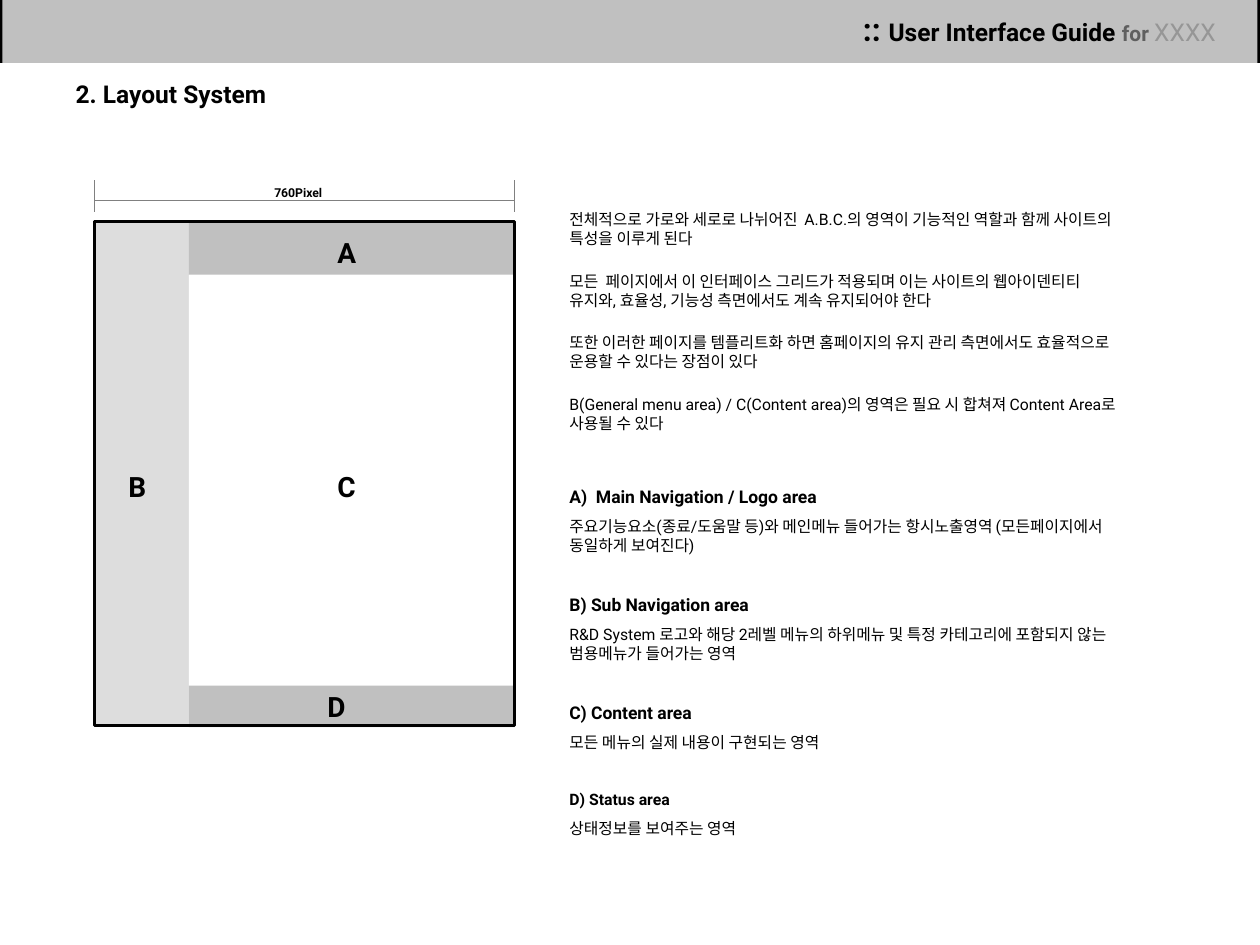
from lxml.etree import SubElement
from pptx import Presentation
from pptx.dml.color import RGBColor
from pptx.enum.shapes import MSO_CONNECTOR, MSO_SHAPE
from pptx.enum.text import MSO_ANCHOR, MSO_AUTO_SIZE, PP_ALIGN
from pptx.oxml.ns import qn
from pptx.util import Cm, Pt


class Theme:
    font = "Roboto"
    black, white = "000000", "FFFFFF"
    band, sidebar, rule = "C0C0C0", "DDDDDD", "808080"
    muted, faint = "5F5F5F", "969696"
    mark, title, label, small = 18, 14, 16, 7
    preposition, heading, body = 12, 10, 9


# Content; all lengths are in centimetres
TITLE = "2. Layout System"
BRAND = [  # text, size, colour, bold
    (":: ", Theme.mark, Theme.black, True),
    ("User Interface Guide ", Theme.title, Theme.black, True),
    ("for ", Theme.preposition, Theme.muted, True),
    ("XXXX", Theme.title, Theme.faint, False),
]
INTRO = [
    "전체적으로 가로와 세로로 나뉘어진  A.B.C.의 영역이 기능적인 역할과 함께 사이트의 특성을 이루게 된다",
    "모든  페이지에서 이 인터페이스 그리드가 적용되며 이는 사이트의 웹아이덴티티 유지와, 효율성, 기능성 측면에서도 계속 유지되어야 한다",
    "또한 이러한 페이지를 템플리트화 하면 홈페이지의 유지 관리 측면에서도 효율적으로 운용할 수 있다는 장점이 있다",
    "B(General menu area) / C(Content area)의 영역은 필요 시 합쳐져 Content Area로 사용될 수 있다",
]
AREAS = [  # heading, size, space before, description
    ("A)  Main Navigation / Logo area", Theme.heading, 30.4,
     "주요기능요소(종료/도움말 등)와 메인메뉴 들어가는 항시노출영역 (모든페이지에서 동일하게 보여진다)"),
    ("B) Sub Navigation area", Theme.heading, 22.4,
     "R&D System 로고와 해당 2레벨 메뉴의 하위메뉴 및 특정 카테고리에 포함되지 않는 범용메뉴가 들어가는 영역"),
    ("C) Content area", Theme.heading, 22.4, "모든 메뉴의 실제 내용이 구현되는 영역"),
    ("D) Status area", Theme.body, 21.8, "상태정보를 보여주는 영역"),
]
INTRO_GAP, DESCRIPTION_GAP = 13.5, 5.6

# Wireframe grid
LEFT, SPLIT, RIGHT = 1.9, 3.81, 10.37
TOP, NAV_END, STATUS_TOP, BOTTOM = 4.47, 5.54, 13.82, 14.63
REGIONS = [  # left, top, right, bottom, fill
    (LEFT, TOP, SPLIT, BOTTOM, Theme.sidebar),
    (SPLIT, NAV_END, 8.46, BOTTOM, Theme.white),
    (SPLIT, STATUS_TOP, RIGHT, 14.66, Theme.band),
    (SPLIT, TOP, RIGHT, NAV_END, Theme.band),
]
LABELS = [("A", 6.55, 4.62), ("B", 2.34, 9.35), ("C", 6.55, 9.35), ("D", 6.35, 13.77)]
DIMENSION_Y, TICK_TOP, TICK_BOTTOM = 4.04, 3.63, 4.27
SLIDE_WIDTH, SLIDE_HEIGHT, HEADER_HEIGHT, EDGE = 25.4, 19.05, 1.27, 0.05

deck = Presentation()
deck.slide_width, deck.slide_height = Cm(SLIDE_WIDTH), Cm(SLIDE_HEIGHT)
page = deck.slides.add_slide(deck.slide_layouts[5])


def style(font, size, color=Theme.black, bold=False):
    font.name, font.size, font.bold = Theme.font, Pt(size), bold
    font.color.rgb = RGBColor.from_string(color)


def add_area(left, top, right, bottom, fill=None, border=None):
    area = page.shapes.add_shape(MSO_SHAPE.RECTANGLE, Cm(left), Cm(top),
                                 Cm(right - left), Cm(bottom - top))
    area.shadow.inherit = False
    if fill:
        area.fill.solid()
        area.fill.fore_color.rgb = RGBColor.from_string(fill)
    else:
        area.fill.background()
    if border:
        area.line.color.rgb = RGBColor.from_string(Theme.black)
        area.line.width = Pt(border)
    else:
        area.line.fill.background()


def add_box(left, top, width, height):
    box = page.shapes.add_textbox(Cm(left), Cm(top), Cm(width), Cm(height))
    box.text_frame.word_wrap = True
    return box.text_frame


def add_label(text, left, top, width, height, size):
    para = add_box(left, top, width, height).paragraphs[0]
    para.text = text
    style(para.font, size, bold=True)


def add_rule(x1, y1, x2, y2, width):
    rule = page.shapes.add_connector(MSO_CONNECTOR.STRAIGHT,
                                     Cm(x1), Cm(y1), Cm(x2), Cm(y2))
    rule.line.color.rgb = RGBColor.from_string(Theme.rule)
    rule.line.width = Pt(width)
    SubElement(rule._element.spPr, qn("a:effectLst"))


# Header band
add_area(0, 0, SLIDE_WIDTH, HEADER_HEIGHT, Theme.black)
add_area(EDGE, 0, SLIDE_WIDTH - EDGE, HEADER_HEIGHT, Theme.band)
brand = add_box(11.86, 0.08, 12.9, 1.02).paragraphs[0]
brand.alignment = PP_ALIGN.RIGHT
for text, *look in BRAND:
    span = brand.add_run()
    span.text = text
    style(span.font, *look)

# Title
title = page.shapes.title
title.left, title.top, title.width, title.height = Cm(1.27), Cm(1.47), Cm(16.71), Cm(0.86)
title.text_frame.text = TITLE
title.text_frame.auto_size = MSO_AUTO_SIZE.NONE
title.text_frame.vertical_anchor = MSO_ANCHOR.TOP
title.text_frame.paragraphs[0].alignment = PP_ALIGN.LEFT
style(title.text_frame.paragraphs[0].font, Theme.title, bold=True)

# Wireframe regions, frame and letters
for region in REGIONS:
    add_area(*region)
add_area(LEFT, TOP, RIGHT, BOTTOM, border=1.5)
for letter, left, top in LABELS:
    add_label(letter, left, top, 1.07, 0.94, Theme.label)

# Width dimension
for x in (LEFT, RIGHT):
    add_rule(x, TICK_TOP, x, TICK_BOTTOM, 0.5)
add_rule(LEFT, DIMENSION_Y, RIGHT, DIMENSION_Y, 0.25)
add_label("760Pixel", 5.28, 3.61, 2.54, 0.56, Theme.small)

# Explanation: size, bold, space before for each paragraph
lines = [(text, Theme.body, False, INTRO_GAP if i else 0) for i, text in enumerate(INTRO)]
for heading, size, gap, description in AREAS:
    lines += [(heading, size, True, gap),
              (description, Theme.body, False, DESCRIPTION_GAP)]
frame = add_box(11.23, 4.11, 11.63, 12.93)
for i, (text, size, bold, gap) in enumerate(lines):
    para = frame.add_paragraph() if i else frame.paragraphs[0]
    para.text = text
    para.space_before = Pt(gap)
    style(para.font, size, bold=bold)

deck.save("out.pptx")
